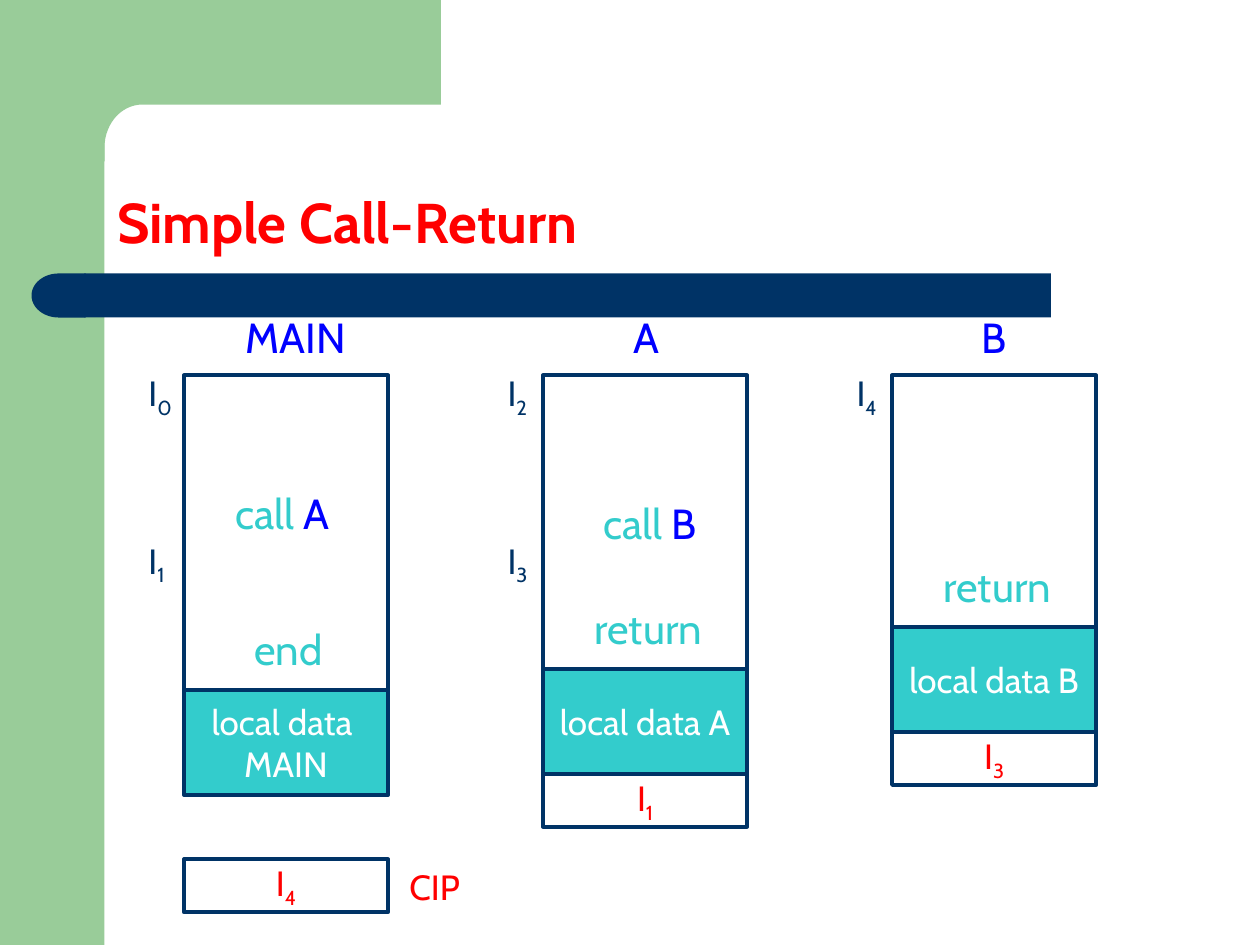
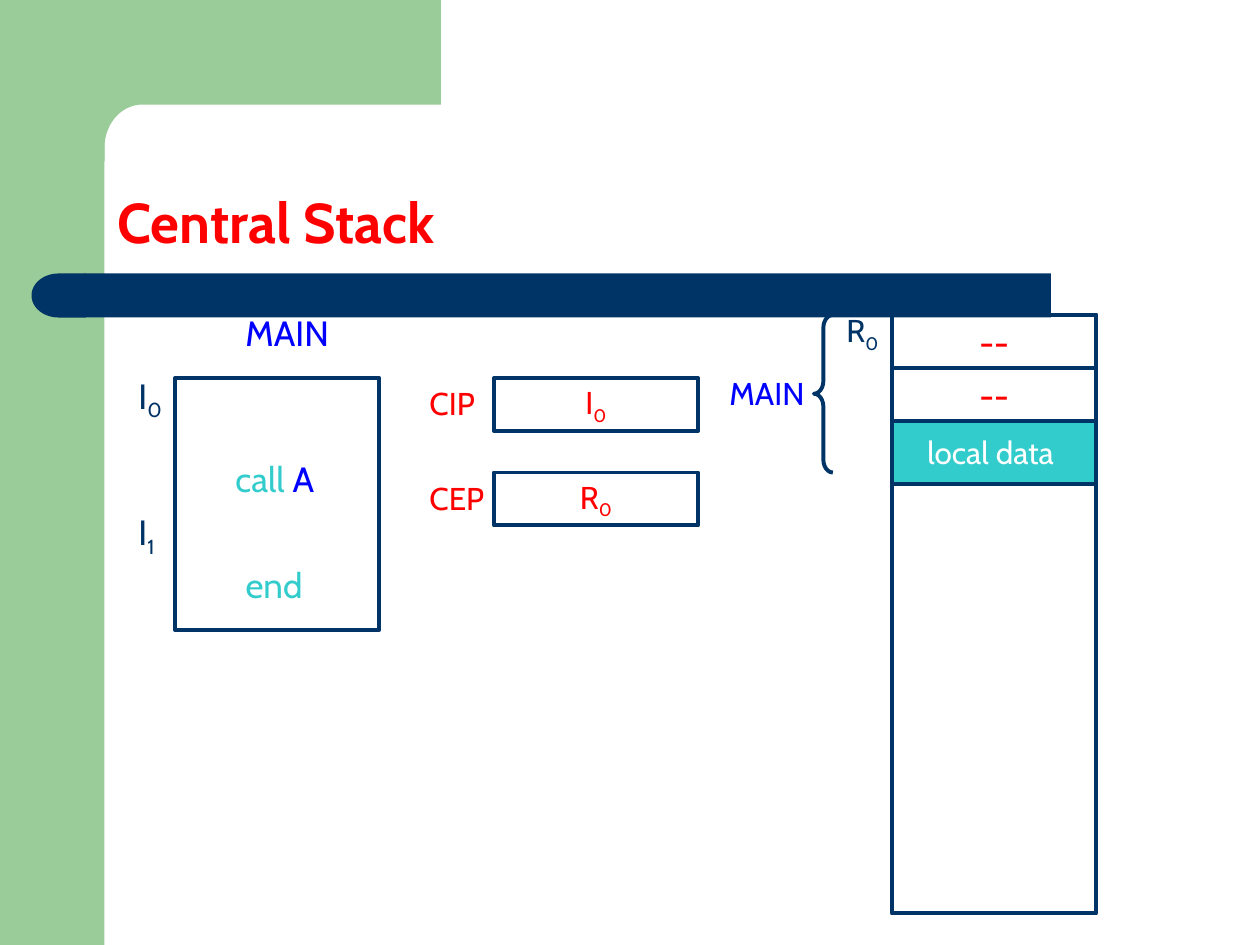
"""Build two slides on call-return and the central stack."""
import dataclasses
import math

import pptx
import pptx.dml.color
import pptx.enum.shapes
import pptx.enum.text
import pptx.util

Inches = pptx.util.Inches
Shapes = pptx.enum.shapes.MSO_SHAPE
Anchor = pptx.enum.text.MSO_ANCHOR
Align = pptx.enum.text.PP_ALIGN
AutoSize = pptx.enum.text.MSO_AUTO_SIZE


@dataclasses.dataclass(frozen=True)
class Theme:
    font: str = "Cabin"
    green: str = "99CC99"
    navy: str = "003366"
    teal: str = "33CCCC"
    blue: str = "0000FF"
    red: str = "FF0000"
    white: str = "FFFFFF"
    title: int = 32
    large: int = 24
    medium: int = 20
    small: int = 18
    outline: float = 2.25


def rgb(value):
    return pptx.dml.color.RGBColor.from_string(value)


def assign(target, values):
    for name, value in values.items():
        setattr(target, name, value)


class Deck:
    def __init__(self, theme):
        self.theme = theme
        self.slide = None
        self.presentation = pptx.Presentation()
        assign(self.presentation, {"slide_width": Inches(10), "slide_height": Inches(7.5)})

    def open_slide(self, title):
        self.slide = self.presentation.slides.add_slide(self.presentation.slide_layouts[5])
        self.decorate()
        shape = self.slide.shapes.title
        assign(shape, {"left": Inches(0.83), "top": Inches(0.83),
                       "width": Inches(8.67), "height": Inches(1.25)})
        assign(shape.text_frame, {"vertical_anchor": Anchor.BOTTOM, "word_wrap": True,
                                  "auto_size": AutoSize.NONE})
        paragraph = shape.text_frame.paragraphs[0]
        assign(paragraph, {"alignment": Align.LEFT, "line_spacing": 0.9})
        self.run(paragraph, title, self.theme.title, self.theme.red, bold=True)

    def decorate(self):
        theme = self.theme
        self.shape(Shapes.RECTANGLE, 0, 0, 0.83, 7.5, fill=theme.green)
        self.corner()
        self.shape(Shapes.RECTANGLE, 0.67, 2.17, 7.67, 0.35, fill=theme.navy)
        cap = self.shape(Shapes.FLOWCHART_DELAY, 0.25, 2.17, 0.43, 0.35, fill=theme.navy)
        cap.rotation = 180

    def corner(self):
        angles = [math.radians(degrees) for degrees in range(90, 181, 6)]
        arc = [(1.13 + 0.3 * math.cos(angle), 1.17 - 0.34 * math.sin(angle)) for angle in angles]
        outline = [(3.5, 0), (3.5, 0.83), *arc, (0.83, 1.28), (0.5, 1.28), (0.5, 0)]
        points = [(Inches(x), Inches(y)) for x, y in outline]
        builder = self.slide.shapes.build_freeform(*points[0])
        builder.add_line_segments(points[1:], close=True)
        self.paint(builder.convert_to_shape(), self.theme.green, None)

    def paint(self, shape, fill, line):
        shape.shadow.inherit = False
        if fill:
            shape.fill.solid()
            shape.fill.fore_color.rgb = rgb(fill)
        else:
            shape.fill.background()
        if line:
            shape.line.color.rgb = rgb(line)
            shape.line.width = pptx.util.Pt(self.theme.outline)
        else:
            shape.line.fill.background()

    def shape(self, kind, left, top, width, height, fill=None, line=None):
        shape = self.slide.shapes.add_shape(kind, *map(Inches, (left, top, width, height)))
        self.paint(shape, fill, line)
        return shape

    def run(self, paragraph, text, size, color, bold=False):
        base, _, subscript = text.partition("_")
        for part in filter(None, (base, subscript)):
            run = paragraph.add_run()
            run.text = part
            assign(run.font, {"name": self.theme.font, "size": pptx.util.Pt(size), "bold": bold})
            run.font.color.rgb = rgb(color)
        if subscript:
            run._r.get_or_add_rPr().set("baseline", "-25000")

    def box(self, left, top, width, height, text="", size=None, color=None, fill=None):
        frame = self.shape(Shapes.RECTANGLE, left, top, width, height,
                           fill, self.theme.navy).text_frame
        if not text:
            return
        assign(frame, {"word_wrap": False, "vertical_anchor": Anchor.MIDDLE})
        for index, line in enumerate(text.split("\n")):
            paragraph = frame.add_paragraph() if index else frame.paragraphs[0]
            paragraph.alignment = Align.CENTER
            self.run(paragraph, line, size or self.theme.medium, color or self.theme.red)

    def label(self, left, top, width, text, size, color, accent=""):
        height = size * 1.215 / 72 + 0.1
        shape = self.slide.shapes.add_textbox(*map(Inches, (left, top, width, height)))
        frame = shape.text_frame
        assign(frame, {"word_wrap": True, "auto_size": AutoSize.SHAPE_TO_FIT_TEXT})
        self.run(frame.paragraphs[0], text, size, color)
        if accent:
            self.run(frame.paragraphs[0], accent, size, self.theme.blue)

    def brace(self, left, top, width, height):
        shape = self.shape(Shapes.LEFT_BRACE, left, top, width, height, line=self.theme.navy)
        shape.adjustments[0] = 0.674


WIDTH = 1.62
CELL = 0.42


def simple_call_return(deck):
    theme = deck.theme
    deck.open_slide("Simple Call-Return")
    code_top, data_height = 2.98, 0.83
    procedures = [
        (1.46, 2.5, "local data \nMAIN", None, ["I_0", "I_1"]),
        (4.31, 2.33, "local data A", "I_1", ["I_2", "I_3"]),
        (7.08, 2.0, "local data B", "I_3", ["I_4"]),
    ]
    for left, code_height, data, return_address, addresses in procedures:
        data_top = code_top + code_height
        deck.box(left, code_top, WIDTH, code_height)
        deck.box(left, data_top, WIDTH, data_height, data, color=theme.white, fill=theme.teal)
        if return_address:
            deck.box(left, data_top + data_height, WIDTH, CELL, return_address)
        for address, top in zip(addresses, (2.9, 4.23)):
            deck.label(left - 0.38, top, 0.46, address, theme.medium, theme.navy)

    for left, width, name in [(1.85, 1.24, "MAIN"), (4.93, 0.46, "A"), (7.69, 0.46, "B")]:
        deck.label(left, 2.42, width, name, theme.large, theme.blue)
    instructions = [
        (1.77, 3.82, 1, "call ", "A"), (4.69, 3.9, 1, "call ", "B"),
        (1.92, 4.9, 0.83, "end", ""), (4.62, 4.73, 1.13, "return", ""),
        (7.39, 4.4, 1.28, "return", ""),
    ]
    for left, top, width, text, accent in instructions:
        deck.label(left, top, width, text, theme.large, theme.teal, accent)

    deck.box(1.46, 6.82, WIDTH, CELL, "I_4")
    deck.label(3.15, 6.82, 0.76, "CIP", theme.medium, theme.red)


def central_stack(deck):
    theme = deck.theme
    deck.open_slide("Central Stack")
    deck.box(1.39, 3, WIDTH, 2)
    deck.label(1.85, 2.42, 1, "MAIN", theme.medium, theme.blue)
    deck.label(1.77, 3.58, 1, "call ", theme.medium, theme.teal, "A")
    deck.label(1.85, 4.42, 0.69, "end", theme.medium, theme.teal)
    for address, top in [("I_0", 2.92), ("I_1", 4)]:
        deck.label(1, top, 0.46, address, theme.medium, theme.navy)

    for register, value, top in [("CIP", "I_0", 3), ("CEP", "R_0", 3.75)]:
        deck.box(3.92, top, WIDTH, CELL, value, theme.small)
        deck.label(3.31, top, 0.77, register, theme.small, theme.red)

    stack_left, stack_top = 7.08, 2.5
    deck.box(stack_left, stack_top + 2 * CELL, WIDTH, 0.5, "local data ",
             theme.small, theme.white, theme.teal)
    for row in range(2):
        deck.box(stack_left, stack_top + row * CELL, WIDTH, CELL, "--")
    deck.box(stack_left, stack_top, WIDTH, 4.75)
    deck.brace(6.46, stack_top, 0.15, 1.25)
    deck.label(6.62, 2.42, 0.46, "R_0", theme.small, theme.navy)
    deck.label(5.69, 2.92, 0.85, "MAIN", theme.small, theme.blue)


def main():
    deck = Deck(Theme())
    simple_call_return(deck)
    central_stack(deck)
    deck.presentation.save("out.pptx")


if __name__ == "__main__":
    main()
